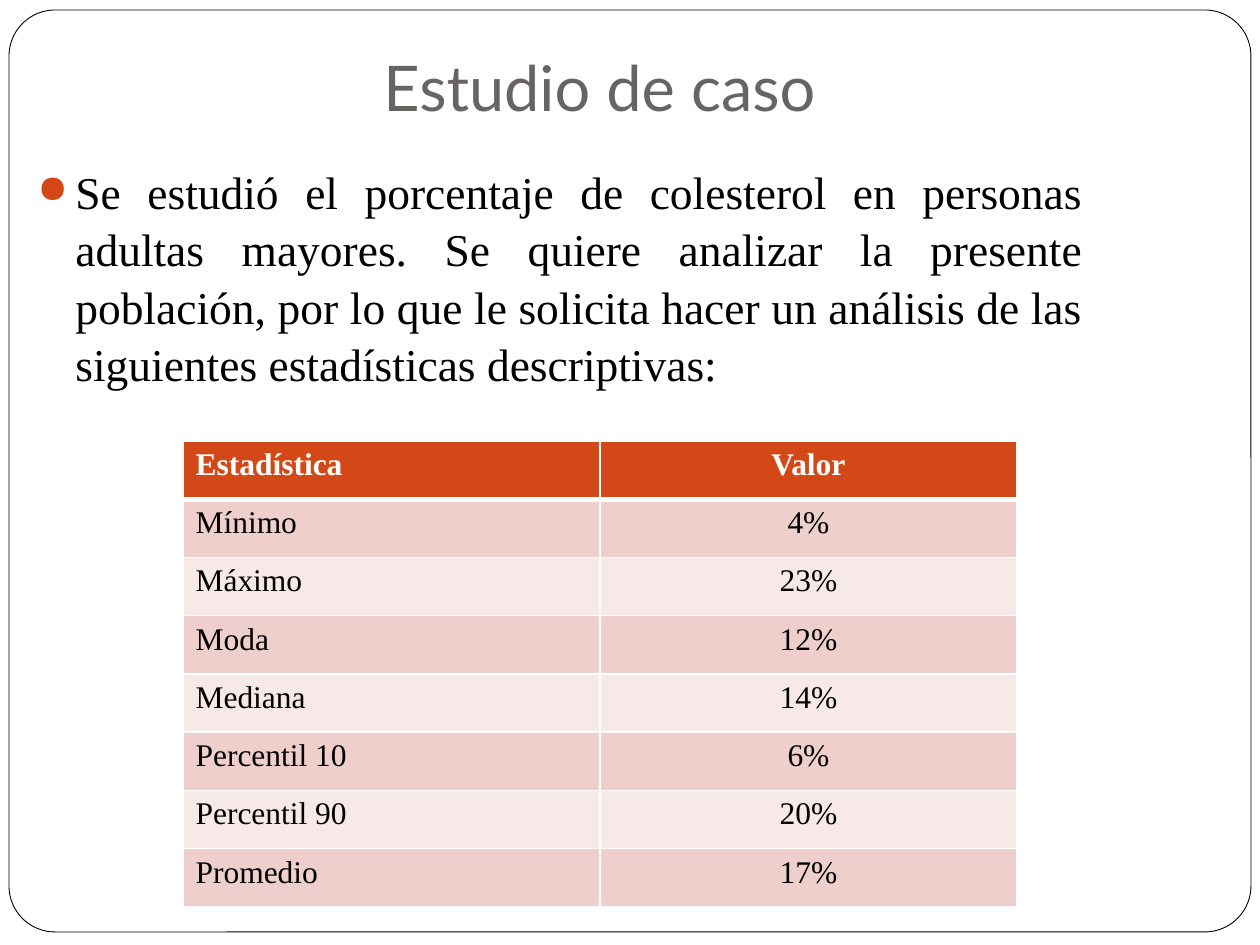
from typing import NamedTuple

from lxml.etree import SubElement
from pptx import Presentation
from pptx.dml.color import RGBColor
from pptx.enum.shapes import MSO_SHAPE as SHAPE
from pptx.enum.text import MSO_ANCHOR as ANCHOR, PP_ALIGN as ALIGN
from pptx.oxml.ns import qn
from pptx.util import Emu, Pt

EMU_PER_PX = 914400 / 126
SERIF = "Times New Roman"
COLORS = {
    "white": "FFFFFF",
    "black": "000000",
    "title": "696464",
    "accent": "D34817",
    "band_dark": "EFCFCC",
    "band_light": "F7E9E8",
}


class Stat(NamedTuple):
    name: str
    value: str


HEADER = Stat("Estadística", "Valor")
STATS = [
    Stat("Mínimo", "4%"),
    Stat("Máximo", "23%"),
    Stat("Moda", "12%"),
    Stat("Mediana", "14%"),
    Stat("Percentil 10", "6%"),
    Stat("Percentil 90", "20%"),
    Stat("Promedio", "17%"),
]
INTRO = (
    "Se estudió el porcentaje de colesterol en personas adultas mayores. "
    "Se quiere analizar la presente población, por lo que le solicita hacer "
    "un análisis de las siguientes estadísticas descriptivas:"
)


def px(n: int) -> Emu:
    return Emu(round(n * EMU_PER_PX))


def rgb(name: str) -> RGBColor:
    return RGBColor.from_string(COLORS[name])


def write(tf, text: str, *, size: int, color: str = "black", font: str = SERIF,
          bold: bool = False, align=ALIGN.LEFT):
    p = tf.paragraphs[0]
    p.alignment = align
    r = p.add_run()
    r.text = text
    r.font.size, r.font.name, r.font.bold = Pt(size), font, bold
    r.font.color.rgb = rgb(color)
    return p


def add_bullet(p, indent: int) -> None:
    pPr = p._p.get_or_add_pPr()
    pPr.set("marL", str(px(indent)))
    pPr.set("indent", str(-px(indent)))
    clr = SubElement(pPr, qn("a:buClr"))
    SubElement(clr, qn("a:srgbClr"), val=COLORS["accent"])
    SubElement(pPr, qn("a:buSzPct"), val="85000")
    SubElement(pPr, qn("a:buChar"), char="●")


def set_borders(cell, bottom: int) -> None:
    tcPr = cell._tc.get_or_add_tcPr()
    widths = {"lnL": 1, "lnR": 1, "lnT": 1, "lnB": bottom}
    for i, (tag, width) in enumerate(widths.items()):
        ln = tcPr.makeelement(qn(f"a:{tag}"), {"w": str(Pt(width))})
        fill = SubElement(ln, qn("a:solidFill"))
        SubElement(fill, qn("a:srgbClr"), val=COLORS["white"])
        tcPr.insert(i, ln)


def add_frame(s) -> None:
    sp = s.shapes.add_shape(SHAPE.ROUNDED_RECTANGLE, px(9), px(10), px(1242), px(922))
    sp.adjustments[0] = 0.05
    sp.shadow.inherit = False
    sp.fill.solid()
    sp.fill.fore_color.rgb = rgb("white")
    sp.line.color.rgb = rgb("black")
    sp.line.width = Pt(0.5)
    s.shapes._spTree.insert(2, sp._element)


def add_title(s, text: str) -> None:
    sp = s.shapes.title
    sp.left, sp.top, sp.width, sp.height = px(64), px(37), px(1071), px(99)
    tf = sp.text_frame
    tf.vertical_anchor = ANCHOR.BOTTOM
    tf.margin_bottom = px(12)
    write(tf, text, size=36, color="title", font="Lato", align=ALIGN.CENTER)


def add_intro(s, text: str) -> None:
    tf = s.shapes.add_textbox(px(25), px(155), px(1071), px(735)).text_frame
    tf.word_wrap = True
    p = write(tf, text, size=26, align=ALIGN.JUSTIFY)
    p.line_spacing = 1.05
    add_bullet(p, 38)


def add_stats(s, stats: list[Stat]) -> None:
    rows = [HEADER, *stats]
    tbl = s.shapes.add_table(len(rows), 2, px(183), px(441), px(834), px(466)).table
    for col in tbl.columns:
        col.width = px(417)
    for i, stat in enumerate(rows):
        head = i == 0
        fill = "accent" if head else "band_dark" if i % 2 else "band_light"
        for j, text in enumerate(stat):
            cell = tbl.cell(i, j)
            cell.fill.solid()
            cell.fill.fore_color.rgb = rgb(fill)
            set_borders(cell, 3 if head else 1)
            write(cell.text_frame, text, size=18, bold=head,
                  color="white" if head else "black",
                  align=ALIGN.CENTER if j else ALIGN.LEFT)


def main() -> None:
    prs = Presentation()
    prs.slide_width, prs.slide_height = px(1260), px(945)
    s = prs.slides.add_slide(prs.slide_layouts[5])
    add_frame(s)
    add_title(s, "Estudio de caso")
    add_intro(s, INTRO)
    add_stats(s, STATS)
    prs.save("out.pptx")


if __name__ == "__main__":
    main()
